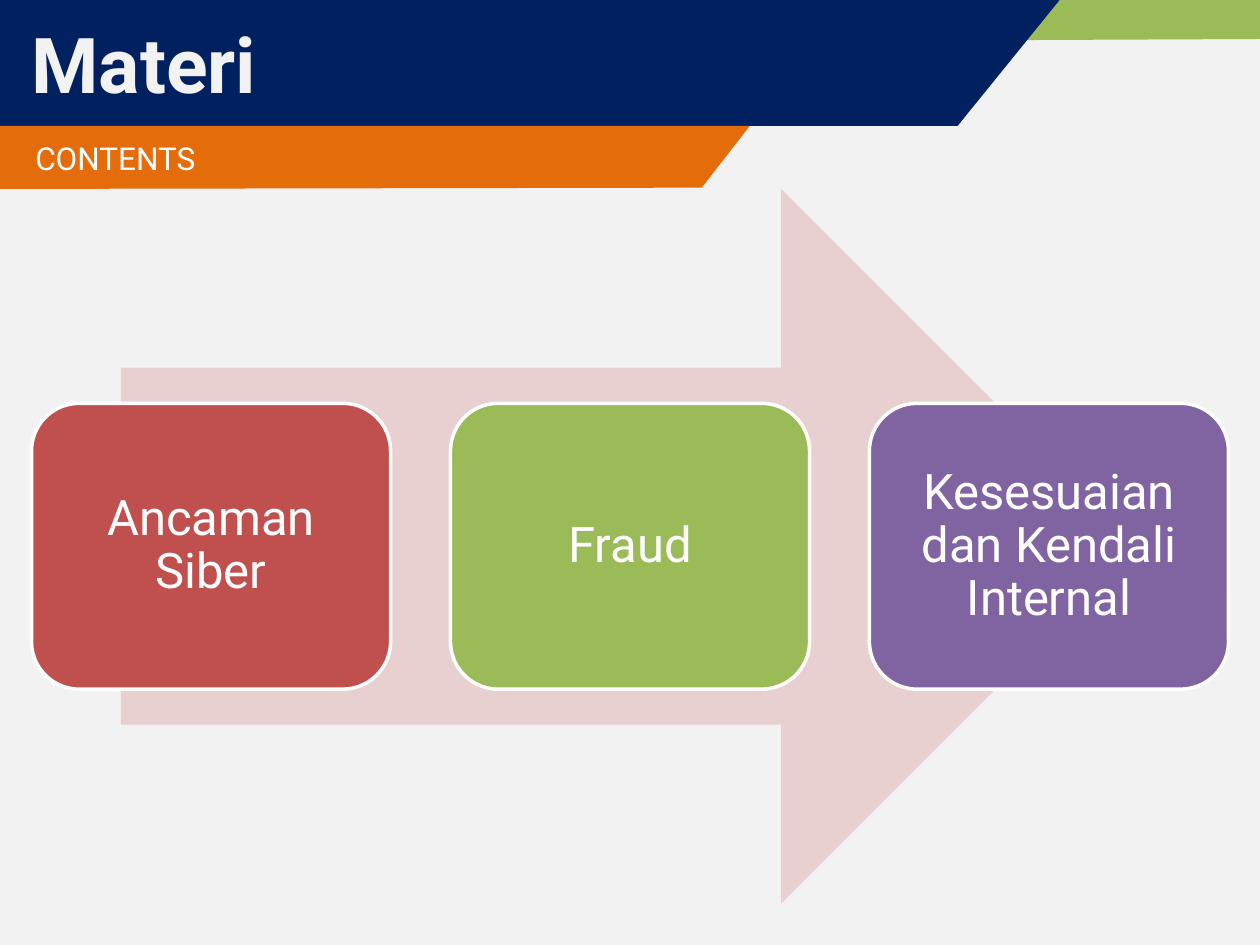
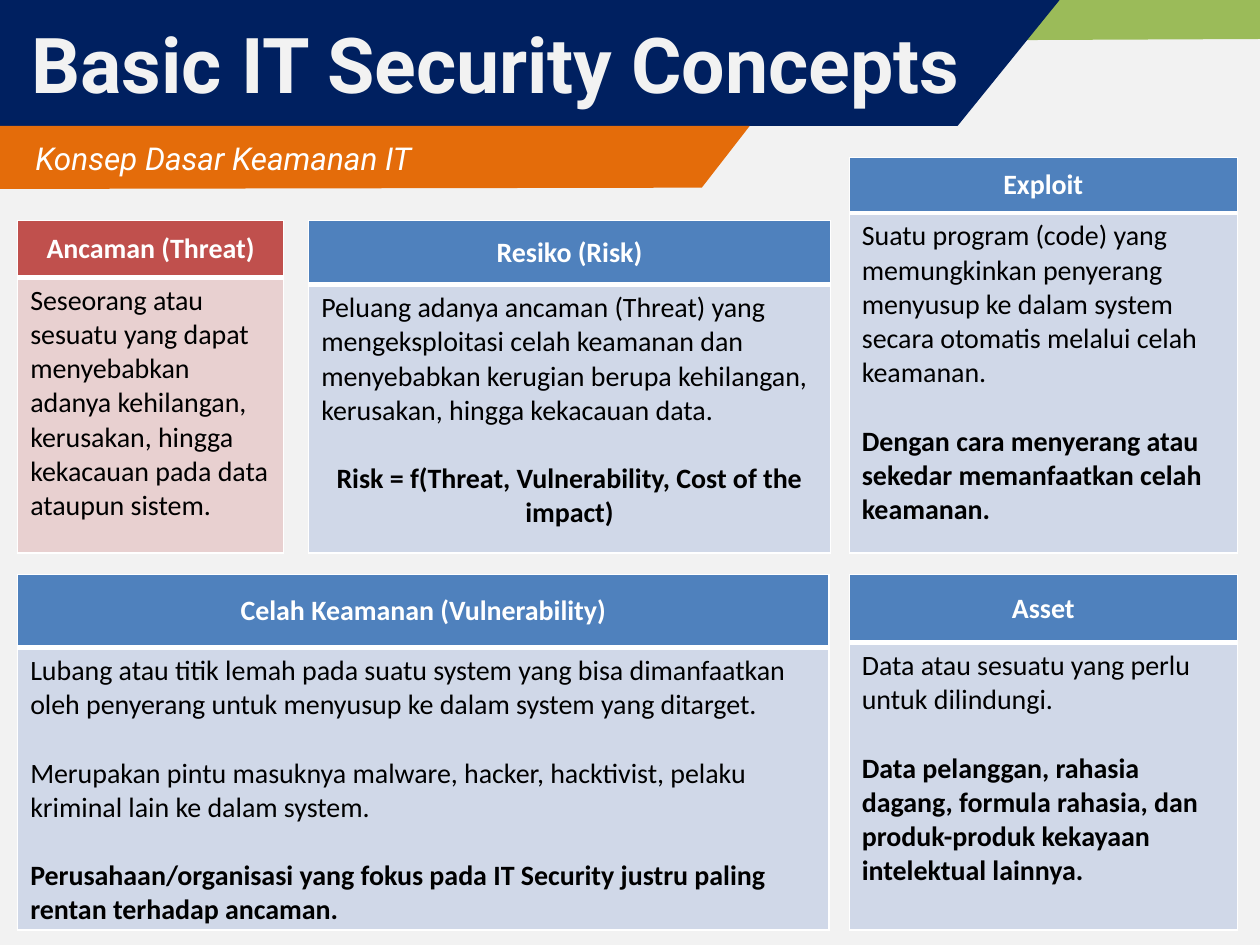
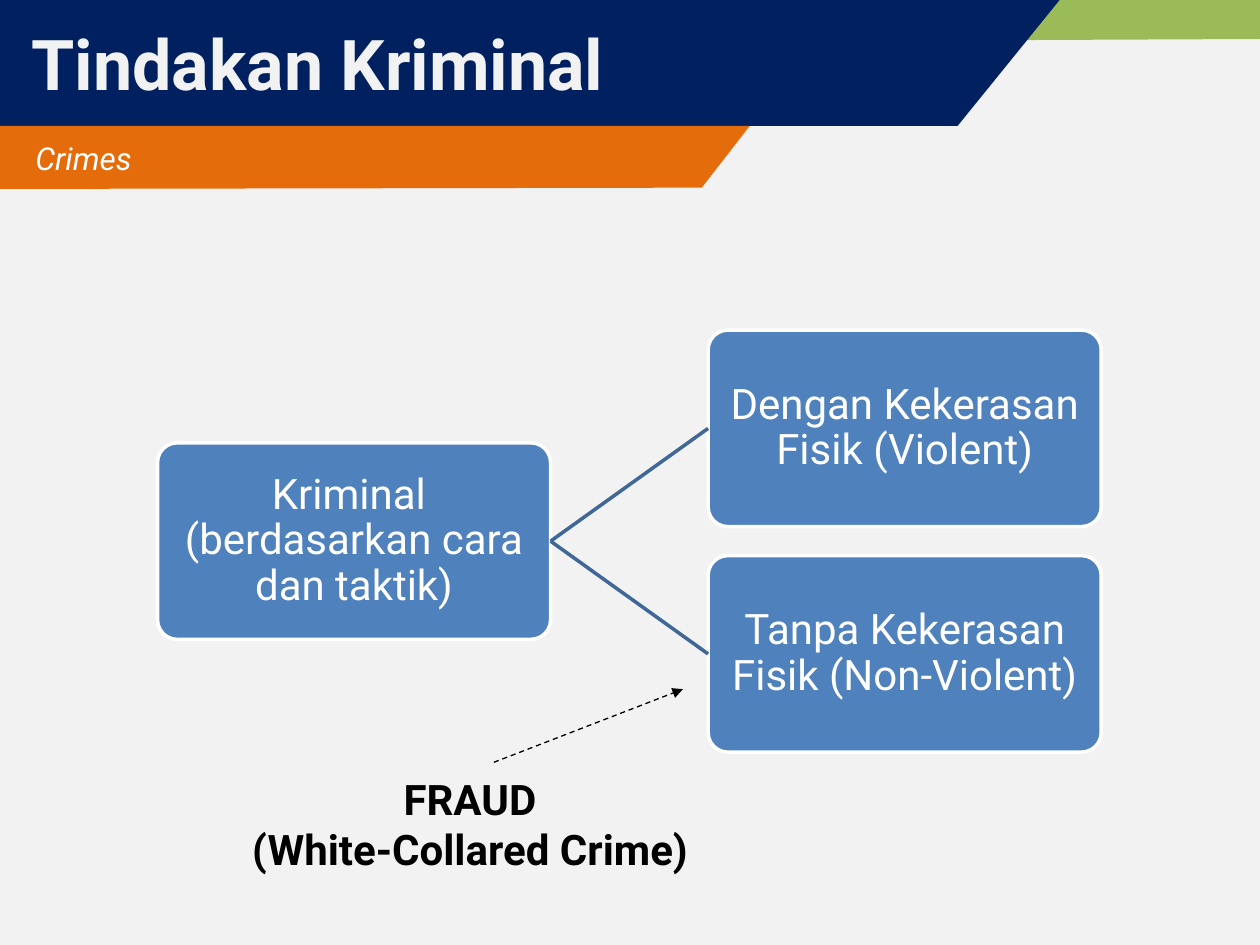
from dataclasses import dataclass

from pptx import Presentation
from pptx import util as u
from pptx.dml.color import RGBColor
from pptx.enum import dml, shapes, text
from pptx.oxml import ns, xmlchemy

COLS, ROWS = 100, 75
CELL = u.Inches(0.1)
MID, TOP = text.MSO_ANCHOR.MIDDLE, text.MSO_ANCHOR.TOP
CENTER, LEFT = text.PP_ALIGN.CENTER, text.PP_ALIGN.LEFT


@dataclass(frozen=True)
class Theme:
    head: str = "Roboto"
    body: str = "Calibri"
    paper: str = "F2F2F2"
    white: str = "FFFFFF"
    black: str = "000000"
    navy: str = "002060"
    orange: str = "E46C0A"
    green: str = "9BBB59"
    red: str = "C0504D"
    pink: str = "E8D0D0"
    purple: str = "8064A2"
    blue: str = "4F81BD"
    pale: str = "D0D8E8"
    link: str = "3F6797"
    title: float = 44
    title_small: float = 40
    subtitle: float = 18
    step: float = 28
    node: float = 24
    cell: float = 16
    cell_gap: float = 19.5
    thin: float = 1
    thick: float = 3
    outline: float = 2
    arrow: float = 0.75


T = Theme()


@dataclass(frozen=True)
class Box:
    x: float
    y: float
    w: float
    h: float

    def inner(self, x, y, w, h):
        return Box(self.x + x, self.y + y, w, h)

    def emu(self):
        return [grid(v) for v in (self.x, self.y, self.w, self.h)]


SLIDE = Box(0, 0, COLS, ROWS)


def grid(n):
    return u.Emu(round(n * CELL))


def rgb(value):
    return RGBColor.from_string(value)


def paint(sp, fill, line=None):
    sp.shadow.inherit = False
    sp.fill.solid()
    sp.fill.fore_color.rgb = rgb(fill)
    if line:
        sp.line.color.rgb = rgb(line)
        sp.line.width = u.Pt(T.outline)
    else:
        sp.line.fill.background()


def add_run(p, words, size, color, font=T.head, bold=False, italic=False):
    r = p.add_run()
    r.text = words
    f = r.font
    f.name, f.size, f.bold, f.italic = font, u.Pt(size), bold, italic
    f.color.rgb = rgb(color)


def paragraphs(tf, lines, size, color, align=CENTER, spacing=None, **style):
    for i, line in enumerate(lines):
        p = tf.add_paragraph() if i else tf.paragraphs[0]
        p.alignment = align
        if spacing:
            p.line_spacing = spacing
        add_run(p, line, size, color, **style)


def frame(sp, anchor, side=1, edge=0.5):
    tf = sp.text_frame
    tf.word_wrap = True
    tf.vertical_anchor = anchor
    tf.margin_left = tf.margin_right = grid(side)
    tf.margin_top = tf.margin_bottom = grid(edge)
    return tf


def outline(s, box, points, fill):
    pts = [(grid(box.x + x), grid(box.y + y)) for x, y in points]
    fb = s.shapes.build_freeform(*pts[0], scale=1.0)
    fb.add_line_segments(pts[1:], close=True)
    sp = fb.convert_to_shape()
    paint(sp, fill)
    return sp


def card(s, box, lines, fill, size, inset, radius=None):
    sp = s.shapes.add_shape(shapes.MSO_SHAPE.ROUNDED_RECTANGLE, *box.emu())
    if radius:
        sp.adjustments[0] = radius
    paint(sp, fill, T.white)
    paragraphs(frame(sp, MID, inset, inset), lines, size, T.white, spacing=0.9)
    return sp


def connector(s, start, end, color, width):
    cx = s.shapes.add_connector(shapes.MSO_CONNECTOR.STRAIGHT,
                                *map(grid, start), *map(grid, end))
    cx.line.color.rgb = rgb(color)
    cx.line.width = u.Pt(width)
    cx._element.spPr.append(xmlchemy.OxmlElement("a:effectLst"))
    return cx


def header(s, box, title, subtitle, size=T.title, italic=True):
    outline(s, box, [(56.9, 0), (100, 0), (100, 3.1), (55.8, 3.3)], T.green)
    outline(s, box, [(0, 0), (84.1, 0), (76, 10), (0, 10)], T.navy)
    tb = s.shapes.add_textbox(*box.inner(0, 0, box.w, 10).emu())
    tf = frame(tb, MID)
    tf.margin_left = grid(2.5)
    paragraphs(tf, [title], size, T.paper, LEFT, bold=True)
    band = outline(s, box.inner(0, 10, box.w, 5),
                   [(0, 0), (59.5, 0), (55.7, 4.9), (0, 5)], T.orange)
    tf = frame(band, MID)
    tf.margin_left = grid(2.8)
    paragraphs(tf, [subtitle], T.subtitle, T.white, LEFT, italic=italic)


def process(s, box, steps):
    shaft = box.inner(7.1, 0, box.w * 0.85, box.h)
    arrow = s.shapes.add_shape(shapes.MSO_SHAPE.RIGHT_ARROW, *shaft.emu())
    paint(arrow, T.pink)
    w, h = box.w * 0.3, box.h * 0.4
    gap = (box.w - len(steps) * w) / (len(steps) - 1)
    for i, (label, fill) in enumerate(steps):
        card(s, box.inner(i * (w + gap), box.h * 0.3, w, h),
             [label], fill, T.step, 1.2)


def borders(cell, **widths):
    tcPr = cell._tc.get_or_add_tcPr()
    for i, side in enumerate("LRTB"):
        ln = xmlchemy.OxmlElement(f"a:ln{side}")
        ln.set("w", str(u.Pt(widths.get(side, T.thin))))
        fill = xmlchemy.OxmlElement("a:solidFill")
        color = xmlchemy.OxmlElement("a:srgbClr")
        color.set("val", T.white)
        fill.append(color)
        ln.append(fill)
        tcPr.insert(i, ln)


def definition(s, box, head_h, term, lines, dark=T.blue, light=T.pale):
    tbl = s.shapes.add_table(2, 1, *box.emu()).table
    tbl.horz_banding = False
    tbl.rows[0].height = grid(head_h)
    tbl.rows[1].height = grid(box.h - head_h)
    head, body = tbl.cell(0, 0), tbl.cell(1, 0)
    for cell, fill, side in ((head, dark, "B"), (body, light, "T")):
        cell.fill.solid()
        cell.fill.fore_color.rgb = rgb(fill)
        borders(cell, **{side: T.thick})
    head.vertical_anchor, body.vertical_anchor = MID, TOP
    paragraphs(head.text_frame, [term], T.cell, T.white,
               font=T.body, bold=True)
    for i, (words, bold, align) in enumerate(lines):
        tf = body.text_frame
        p = tf.add_paragraph() if i else tf.paragraphs[0]
        p.alignment = align
        if i:
            p.space_before = u.Pt(T.cell_gap)
        add_run(p, words, T.cell, T.black, T.body, bold)


def tree(s, box, root, leaves):
    w, h = 31.2, 15.6
    style = (T.blue, T.node, 0.2, 0.1)
    top = card(s, box.inner(0, (box.h - h) / 2, w, h), root, *style)
    pitch = (box.h - h) / (len(leaves) - 1)
    for i, leaf in enumerate(leaves):
        sp = card(s, box.inner(box.w - w, i * pitch, w, h), [leaf], *style)
        cx = connector(s, (0, 0), (1, 1), T.link, T.outline)
        cx.begin_connect(top, 3)
        cx.end_connect(sp, 1)


def callout(s, box, lines):
    tb = s.shapes.add_textbox(*box.inner(0, 6.2, box.w, 9.1).emu())
    paragraphs(frame(tb, TOP), lines, T.node, T.black, bold=True)
    cx = connector(s, (box.x + 21.3, box.y + 5.8), (box.x + 36.3, box.y),
                   T.black, T.arrow)
    cx.line.dash_style = dml.MSO_LINE.DASH
    tail = xmlchemy.OxmlElement("a:tailEnd")
    tail.set("type", "triangle")
    cx._element.spPr.find(ns.qn("a:ln")).append(tail)


def contents_slide(s):
    header(s, SLIDE, "Materi", "CONTENTS", italic=False)
    process(s, SLIDE.inner(2.5, 15, 95, 56.7), [
        ("Ancaman Siber", T.red),
        ("Fraud", T.green),
        ("Kesesuaian dan Kendali Internal", T.purple),
    ])


def concepts_slide(s):
    header(s, SLIDE, "Basic IT Security Concepts", "Konsep Dasar Keamanan IT")
    area = SLIDE.inner(1.4, 12.5, 96.8, 61.3)
    lower = 33.1
    right = 66
    definition(s, area.inner(23.1, 5, 41.4, 26.4), 5.1, "Resiko (Risk)", [
        ("Peluang adanya ancaman (Threat) yang mengeksploitasi celah keamanan "
         "dan menyebabkan kerugian berupa kehilangan, kerusakan, hingga "
         "kekacauan data.", False, LEFT),
        ("Risk = f(Threat, Vulnerability, Cost of the impact)", True, CENTER),
    ])
    definition(s, area.inner(right, 0, 30.8, 31.4), 4.4, "Exploit", [
        ("Suatu program (code) yang memungkinkan penyerang menyusup ke dalam "
         "system secara otomatis melalui celah keamanan.", False, LEFT),
        ("Dengan cara menyerang atau sekedar memanfaatkan celah keamanan.",
         True, LEFT),
    ])
    definition(s, area.inner(0, lower, 64.4, 28.2), 5.8,
               "Celah Keamanan (Vulnerability)", [
        ("Lubang atau titik lemah pada suatu system yang bisa dimanfaatkan "
         "oleh penyerang untuk menyusup ke dalam system yang ditarget.",
         False, LEFT),
        ("Merupakan pintu masuknya malware, hacker, hacktivist, pelaku "
         "kriminal lain ke dalam system.", False, LEFT),
        ("Perusahaan/organisasi yang fokus pada IT Security justru paling "
         "rentan terhadap ancaman.", True, LEFT),
    ])
    definition(s, area.inner(right, lower, 30.8, 28.2), 5.4, "Asset", [
        ("Data atau sesuatu yang perlu untuk dilindungi.", False, LEFT),
        ("Data pelanggan, rahasia dagang, formula rahasia, dan produk-produk "
         "kekayaan intelektual lainnya.", True, LEFT),
    ])
    definition(s, area.inner(0, 5, 21.1, 26.4), 4.5, "Ancaman (Threat)", [
        ("Seseorang atau sesuatu yang dapat menyebabkan adanya kehilangan, "
         "kerusakan, hingga kekacauan pada data ataupun sistem.",
         False, LEFT),
    ], T.red, T.pink)


def crimes_slide(s):
    header(s, SLIDE, "Tindakan Kriminal", "Crimes", T.title_small)
    tree(s, SLIDE.inner(12.5, 26.2, 74.9, 33.5),
         ["Kriminal ", "(berdasarkan cara dan taktik)"],
         ["Dengan Kekerasan Fisik (Violent)",
          "Tanpa Kekerasan Fisik (Non-Violent)"])
    callout(s, SLIDE.inner(17.9, 54.7, 38.8, 15.3),
            ["FRAUD", "(White-Collared Crime)"])


def main():
    prs = Presentation()
    prs.slide_width, prs.slide_height = grid(COLS), grid(ROWS)
    bg = prs.slide_master.background.fill
    bg.solid()
    bg.fore_color.rgb = rgb(T.paper)
    for build in (contents_slide, concepts_slide, crimes_slide):
        build(prs.slides.add_slide(prs.slide_layouts[6]))
    prs.save("out.pptx")


if __name__ == "__main__":
    main()
